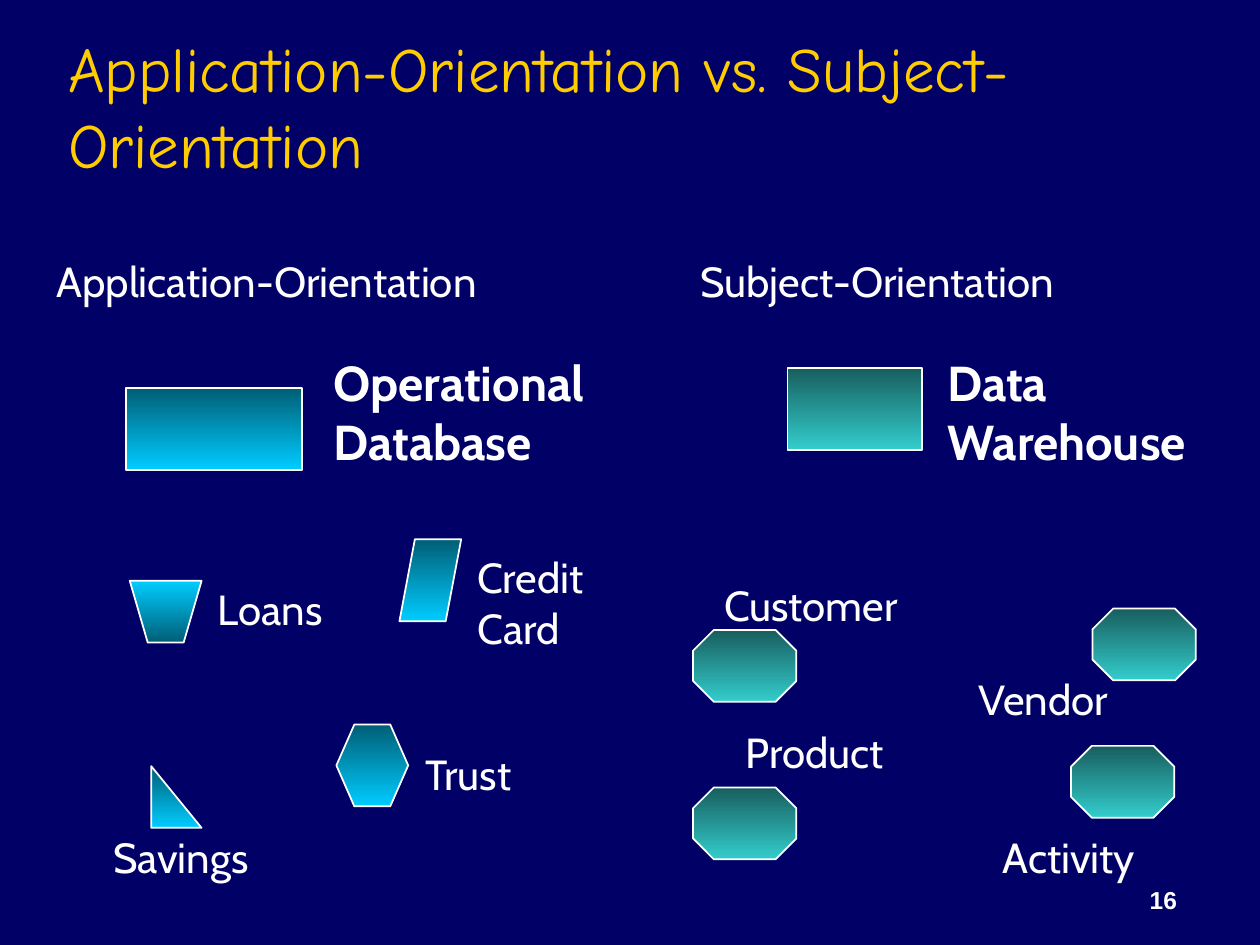
"""Build the slide comparing application-orientation with subject-orientation."""
from dataclasses import dataclass

from pptx import Presentation
from pptx.dml.color import RGBColor
from pptx.enum.shapes import MSO_SHAPE as Preset
from pptx.enum.text import MSO_ANCHOR as Anchor, MSO_AUTO_SIZE as AutoSize, PP_ALIGN as Align
from pptx.util import Inches, Pt


@dataclass(frozen=True)
class Theme:
    """Colours, fonts and type sizes of the slide."""
    background: str = "000066"
    gold: str = "FFCC00"
    white: str = "FFFFFF"
    blue: tuple = ("005E76", "00CCFF")
    teal: tuple = ("185E5E", "33CCCC")
    title_font: str = "Comic Neue"
    body_font: str = "Cabin"
    number_font: str = "Arial"
    title_size: int = 36
    store_size: int = 28
    label_size: int = 24
    number_size: int = 14


THEME = Theme()


def write(frame, text, *, font=THEME.body_font, size=THEME.label_size, color=THEME.white,
          bold=False, align=Align.LEFT, anchor=Anchor.TOP):
    """Put formatted text into a frame, one paragraph a line."""
    frame.word_wrap = True
    frame.auto_size = AutoSize.NONE
    frame.vertical_anchor = anchor
    frame.text = text
    for paragraph in frame.paragraphs:
        paragraph.alignment = align
        paragraph.font.name = font
        paragraph.font.size = Pt(size)
        paragraph.font.bold = bold
        paragraph.font.color.rgb = RGBColor.from_string(color)


def add_label(shapes, text, left, top, width, height=0.5, **style):
    """Add a text box."""
    box = shapes.add_textbox(Inches(left), Inches(top), Inches(width), Inches(height))
    write(box.text_frame, text, **style)


def shade(symbol, gradient):
    """Give a symbol a downward gradient and a thin white outline."""
    symbol.shadow.inherit = False
    symbol.fill.gradient()
    symbol.fill.gradient_angle = 270
    for stop, color in zip(symbol.fill.gradient_stops, gradient):
        stop.color.rgb = RGBColor.from_string(color)
    symbol.line.color.rgb = RGBColor.from_string(THEME.white)
    symbol.line.width = Pt(1)


def add_symbol(shapes, preset, left, top, width, height, gradient, adjustment=None):
    """Add a shaded preset shape."""
    symbol = shapes.add_shape(preset, Inches(left), Inches(top), Inches(width), Inches(height))
    if adjustment is not None:
        symbol.adjustments[0] = adjustment
    shade(symbol, gradient)


def add_bucket(shapes, left, top, width, height, gradient):
    """Add a shaded trapezoid turned upside down."""
    right, bottom, inset = left + width, top + height, width / 4
    outline = [(right, bottom), (right - inset, top), (left + inset, top)]
    builder = shapes.build_freeform(Inches(left), Inches(bottom))
    builder.add_line_segments([(Inches(x), Inches(y)) for x, y in outline], close=True)
    bucket = builder.convert_to_shape()
    bucket.rotation = 180
    shade(bucket, gradient)


def add_title(slide, text):
    """Place and format the slide title."""
    title = slide.shapes.title
    title.left, title.top = Inches(0.44), Inches(0.25)
    title.width, title.height = Inches(8.5), Inches(1.17)
    write(title.text_frame, text, font=THEME.title_font, size=THEME.title_size,
          color=THEME.gold, anchor=Anchor.MIDDLE)


def add_application_side(slide):
    """Draw the operational database and its applications."""
    shapes = slide.shapes.add_group_shape().shapes
    add_symbol(shapes, Preset.RECTANGLE, 1, 3.08, 1.4, 0.65, THEME.blue)
    add_bucket(shapes, 1.03, 4.61, 0.57, 0.49, THEME.blue)
    add_symbol(shapes, Preset.HEXAGON, 2.67, 5.75, 0.57, 0.65, THEME.blue, 0.25)
    add_symbol(shapes, Preset.RIGHT_TRIANGLE, 1.2, 6.08, 0.4, 0.49, THEME.blue)
    add_symbol(shapes, Preset.PARALLELOGRAM, 3.17, 4.28, 0.49, 0.65, THEME.blue, 0.25)
    add_label(shapes, "Application-Orientation", 0.35, 1.98, 3.86)
    add_label(shapes, "Operational Database", 2.55, 2.75, 2.53, 1.03,
              size=THEME.store_size, bold=True)
    add_label(shapes, "Loans", 1.63, 4.58, 1.13)
    add_label(shapes, "Credit\nCard", 3.69, 4.33, 1.23, 0.9)
    add_label(shapes, "Trust", 3.28, 5.89, 1.01)
    add_label(shapes, "Savings", 0.8, 6.55, 1.39)


def add_subject_side(slide):
    """Draw the data warehouse and its subjects."""
    shapes = slide.shapes.add_group_shape().shapes
    add_label(shapes, "Subject-Orientation", 5.46, 1.98, 3.25)
    add_symbol(shapes, Preset.RECTANGLE, 6.25, 2.92, 1.07, 0.65, THEME.teal)
    add_label(shapes, "Data\nWarehouse", 7.42, 2.75, 2.39, 1.03,
              size=THEME.store_size, bold=True)
    for left, top in [(5.5, 5), (8.67, 4.83), (8.5, 5.92), (5.5, 6.25)]:
        add_symbol(shapes, Preset.OCTAGON, left, top, 0.82, 0.57, THEME.teal, 0.29)
    add_label(shapes, "Customer", 5.65, 4.55, 1.73)
    add_label(shapes, "Vendor", 7.67, 5.3, 1.34)
    add_label(shapes, "Product", 5.82, 5.72, 1.48)
    add_label(shapes, "Activity", 7.86, 6.55, 1.32)


def main():
    """Build and save the slide."""
    deck = Presentation()
    deck.slide_width, deck.slide_height = Inches(10), Inches(7.5)
    slide = deck.slides.add_slide(deck.slide_layouts[5])
    slide.background.fill.solid()
    slide.background.fill.fore_color.rgb = RGBColor.from_string(THEME.background)
    add_label(slide.shapes, "16", 7.36, 6.81, 2.08, font=THEME.number_font,
              size=THEME.number_size, bold=True, align=Align.RIGHT, anchor=Anchor.BOTTOM)
    add_title(slide, "Application-Orientation vs. Subject-Orientation")
    add_application_side(slide)
    add_subject_side(slide)
    deck.save("out.pptx")


if __name__ == "__main__":
    main()
